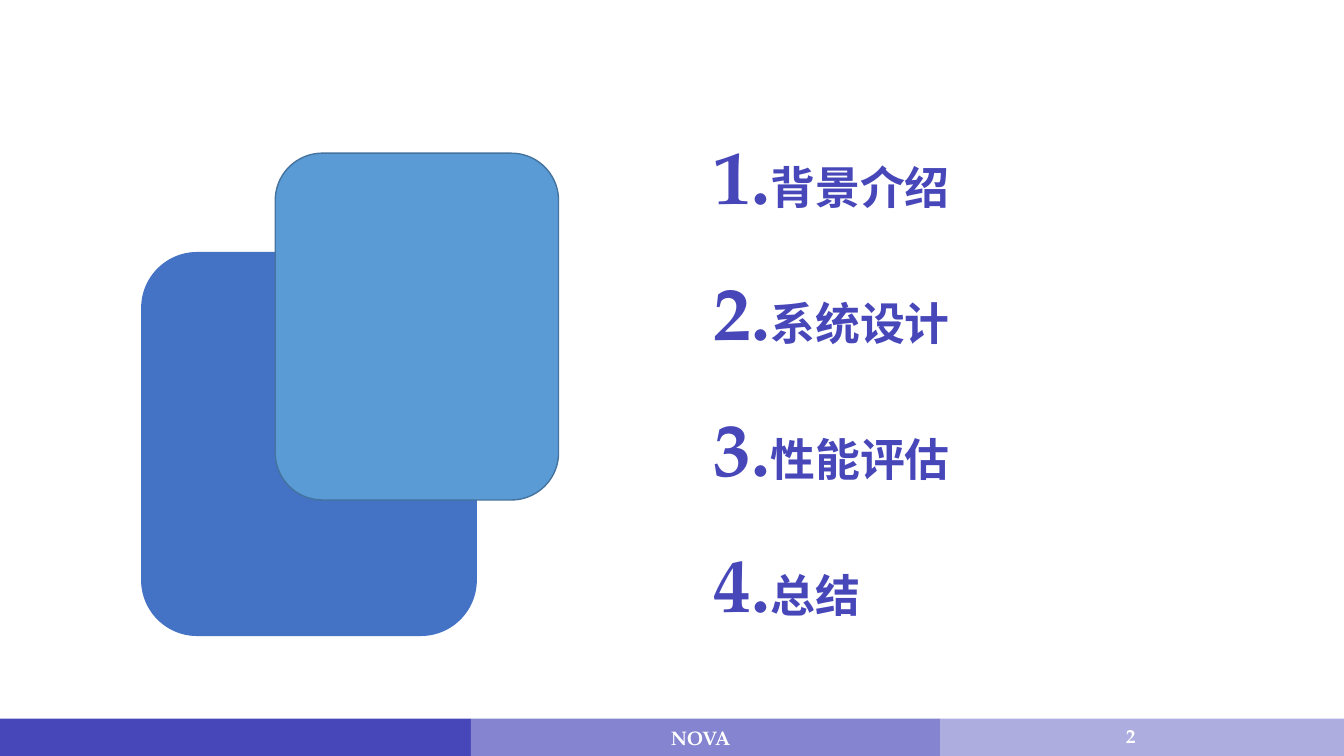
from dataclasses import dataclass

from pptx import Presentation
from pptx.dml.color import RGBColor as Rgb
from pptx.enum.shapes import MSO_SHAPE as Form
from pptx.enum.text import MSO_ANCHOR as Anchor, PP_ALIGN as Align
from pptx.util import Inches, Pt


@dataclass(frozen=True)
class Theme:
    font: str = "TeX Gyre Pagella"
    ink: str = "4747BA"
    mid: str = "8484D1"
    pale: str = "ADADE0"
    white: str = "FFFFFF"
    blue: str = "4472C4"
    sky: str = "5B9BD5"
    edge: str = "43739E"
    number: int = 54
    topic: int = 32
    foot: int = 14


class Page:
    def __init__(self, deck, theme):
        self.theme = theme
        self.slide = deck.slides.add_slide(deck.slide_layouts[6])

    def block(self, form, at, fill, edge=None):
        shape = self.slide.shapes.add_shape(form, *map(Inches, at))
        shape.shadow.inherit = False
        shape.fill.solid()
        shape.fill.fore_color.rgb = Rgb.from_string(fill)
        if edge:
            shape.line.color.rgb = Rgb.from_string(edge)
            shape.line.width = Pt(1)
        else:
            shape.line.fill.background()

    def frame(self, at, anchor):
        frame = self.slide.shapes.add_textbox(*map(Inches, at)).text_frame
        frame.word_wrap = True
        frame.vertical_anchor = anchor
        return frame

    def run(self, para, text, size, color):
        run = para.add_run()
        run.text = text
        font = run.font
        font.name = self.theme.font
        font.size = Pt(size)
        font.bold = True
        font.color.rgb = Rgb.from_string(color)

    def label(self, at, text):
        para = self.frame(at, Anchor.MIDDLE).paragraphs[0]
        para.alignment = Align.CENTER
        self.run(para, text, self.theme.foot, self.theme.white)

    def agenda(self, at, topics):
        frame = self.frame(at, Anchor.TOP)
        for num, topic in enumerate(topics, 1):
            if num == 1:
                para = frame.paragraphs[0]
            else:
                para = frame.add_paragraph()
                para.line_spacing = 1.5
            self.run(para, f"{num}.", self.theme.number, self.theme.ink)
            self.run(para, topic, self.theme.topic, self.theme.ink)


def main():
    deck = Presentation()
    deck.slide_width = Inches(13.33)
    deck.slide_height = Inches(7.5)
    theme = Theme()
    page = Page(deck, theme)

    left = 0
    for width, fill in ((4.67, theme.ink), (4.66, theme.mid), (4, theme.pale)):
        page.block(Form.RECTANGLE, (left, 7.13, width, 0.37), fill)
        left += width
    page.label((4.48, 7.17, 4.94, 0.3), "NOVA")
    page.label((10.77, 7, 0.89, 0.6), "2")

    topics = ("背景介绍", "系统设计", "性能评估", "总结")
    page.agenda((6.98, 1.23, 3.18, 5.91), topics)

    page.block(Form.ROUNDED_RECTANGLE, (1.4, 2.5, 3.33, 3.81), theme.blue)
    page.block(Form.ROUNDED_RECTANGLE, (2.73, 1.52, 2.81, 3.44), theme.sky, theme.edge)

    deck.save("out.pptx")


if __name__ == "__main__":
    main()
